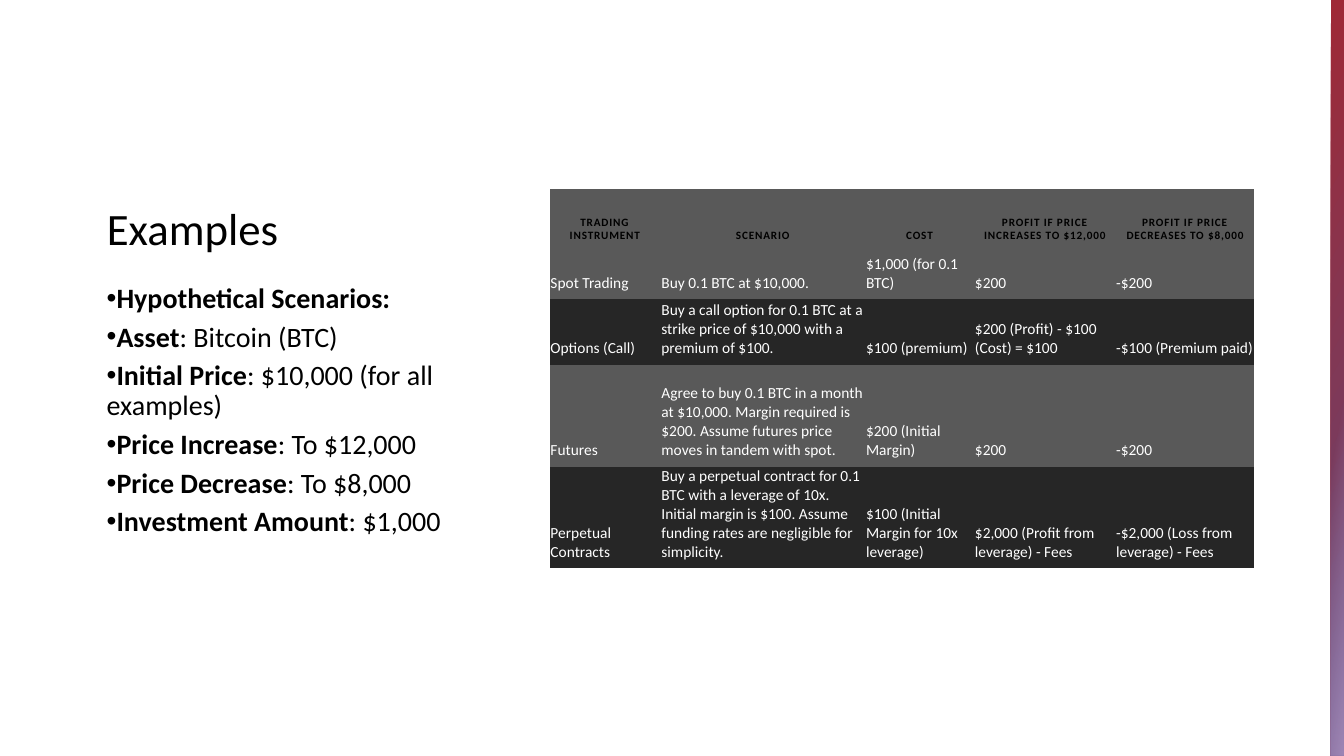
"""Build the trading examples slide with its scenario table."""
import dataclasses
from typing import Any

import lxml.etree
import pptx
import pptx.dml.color
import pptx.enum.shapes
import pptx.enum.text
import pptx.oxml
import pptx.oxml.ns
import pptx.util

Inches = pptx.util.Inches
ALIGN = pptx.enum.text.PP_ALIGN
ANCHOR = pptx.enum.text.MSO_ANCHOR
COLORS = {"ink": "000000", "light": "FFFFFF", "grey": "595959", "dark": "262626",
          "red": "9F2936", "purple": "604878", "lilac": "A088B7"}
NO_GRID_STYLE = "{2D5ABB26-0587-4C30-8999-92F81FD0307C}"
COLUMN_WIDTHS = [1.1, 2.03, 1.08, 1.41, 1.37]
HEADINGS = ["TRADING INSTRUMENT", "SCENARIO", "COST",
            "PROFIT IF PRICE INCREASES TO $12,000", "PROFIT IF PRICE DECREASES TO $8,000"]


@dataclasses.dataclass
class Fact:
    """A bullet with a bold label and a plain value."""
    label: str
    value: str = ""


@dataclasses.dataclass
class Row:
    """A table row with its height and fill."""
    height: float
    fill: str
    texts: list[str]


@dataclasses.dataclass
class Strip:
    """A gradient bar on the right edge, with stops of position, color and opacity."""
    top: float
    height: float
    angle: int
    stops: list[tuple[int, str, int]]


FACTS = [
    Fact("Hypothetical Scenarios:"),
    Fact("Asset", ": Bitcoin (BTC)"),
    Fact("Initial Price", ": $10,000 (for all examples)"),
    Fact("Price Increase", ": To $12,000"),
    Fact("Price Decrease", ": To $8,000"),
    Fact("Investment Amount", ": $1,000"),
]
ROWS = [
    Row(0.64, "grey", HEADINGS),
    Row(0.46, "grey", ["Spot Trading", "Buy 0.1 BTC at $10,000.", "$1,000 (for 0.1 BTC)",
                       "$200", "-$200"]),
    Row(0.65, "dark", ["Options (Call)",
                       "Buy a call option for 0.1 BTC at a strike price of $10,000 "
                       "with a premium of $100.",
                       "$100 (premium)", "$200 (Profit) - $100 (Cost) = $100",
                       "-$100 (Premium paid)"]),
    Row(1.01, "grey", ["Futures",
                       "Agree to buy 0.1 BTC in a month at $10,000. Margin required is $200. "
                       "Assume futures price moves in tandem with spot.",
                       "$200 (Initial Margin)", "$200", "-$200"]),
    Row(1.01, "dark", ["Perpetual Contracts",
                       "Buy a perpetual contract for 0.1 BTC with a leverage of 10x. Initial "
                       "margin is $100. Assume funding rates are negligible for simplicity.",
                       "$100 (Initial Margin for 10x leverage)",
                       "$2,000 (Profit from leverage) - Fees",
                       "-$2,000 (Loss from leverage) - Fees"]),
]
STRIPS = [
    Strip(0, 7.5, 30, [(0, "red", 100), (100, "purple", 100)]),
    Strip(3.86, 3.64, 10, [(19, "lilac", 0), (100, "lilac", 100)]),
]


def add_span(para: Any, text: str, *, size: float, color: str = "ink",
             bold: bool = False, spacing: float = 0) -> None:
    """Append formatted text to a paragraph."""
    span = para.add_run()
    span.text = text
    span.font.name = "Calibri"
    span.font.size = pptx.util.Pt(size)
    span.font.bold = bold
    span.font.color.rgb = pptx.dml.color.RGBColor.from_string(COLORS[color])
    if spacing:
        span.font._element.set("spc", str(round(spacing * 100)))


def space_lines(para: Any) -> None:
    """Set the line and paragraph spacing of the left column."""
    para.line_spacing = 0.9
    para.space_before = pptx.util.Pt(0)
    para.space_after = pptx.util.Pt(6)


def add_title(page: Any) -> None:
    """Place and format the title."""
    title = page.shapes.title
    title.left, title.top = Inches(0.96), Inches(0.81)
    title.width, title.height = Inches(3.78), Inches(1.77)
    title.text_frame.vertical_anchor = ANCHOR.BOTTOM
    title.text_frame.auto_size = pptx.enum.text.MSO_AUTO_SIZE.NONE
    para = title.text_frame.paragraphs[0]
    para.alignment = ALIGN.LEFT
    space_lines(para)
    add_span(para, "Examples", size=32)


def add_facts(page: Any) -> None:
    """Write the bulleted assumptions."""
    box = page.shapes.add_textbox(Inches(0.96), Inches(2.77), Inches(3.78), Inches(3.77))
    frame = box.text_frame
    frame.word_wrap = True
    for index, fact in enumerate(FACTS):
        para = frame.add_paragraph() if index else frame.paragraphs[0]
        space_lines(para)
        properties = para._p.get_or_add_pPr()
        properties.set("marL", "0")
        properties.set("indent", str(-Inches(0.25)))
        for tag, name, value in (("a:buFont", "typeface", "Arial"), ("a:buChar", "char", "•")):
            lxml.etree.SubElement(properties, pptx.oxml.ns.qn(tag)).set(name, value)
        add_span(para, fact.label, size=20, bold=True)
        if fact.value:
            add_span(para, fact.value, size=20)


def add_strip(page: Any, strip: Strip) -> None:
    """Draw one gradient bar."""
    bar = page.shapes.add_shape(pptx.enum.shapes.MSO_SHAPE.RECTANGLE, Inches(13.2),
                                Inches(strip.top), Inches(0.13), Inches(strip.height))
    bar.shadow.inherit = False
    bar.line.fill.background()
    stops = "".join(
        f'<a:gs pos="{place * 1000}"><a:srgbClr val="{COLORS[color]}">'
        f'<a:alpha val="{opacity * 1000}"/></a:srgbClr></a:gs>'
        for place, color, opacity in strip.stops)
    gradient = pptx.oxml.parse_xml(
        f'<a:gradFill {pptx.oxml.ns.nsdecls("a")} rotWithShape="1"><a:gsLst>{stops}</a:gsLst>'
        f'<a:lin ang="{strip.angle * 60000}" scaled="0"/></a:gradFill>')
    bar._element.spPr.find(pptx.oxml.ns.qn("a:prstGeom")).addnext(gradient)


def fill_cell(cell: Any, text: str, fill: str, *, header: bool, side: float) -> None:
    """Fill, pad and write one table cell."""
    cell.fill.solid()
    cell.fill.fore_color.rgb = pptx.dml.color.RGBColor.from_string(COLORS[fill])
    cell.vertical_anchor = ANCHOR.BOTTOM
    cell.margin_left = cell.margin_right = Inches(0.1 if header else side)
    cell.margin_top = Inches(0.1 if header else 0)
    cell.margin_bottom = Inches(0.1 if header else 0.07)
    para = cell.text_frame.paragraphs[0]
    if header:
        para.alignment = ALIGN.CENTER
        add_span(para, text, size=8, bold=True, spacing=0.6)
    else:
        add_span(para, text, size=11, color="light")


def add_scenarios(page: Any) -> None:
    """Build the table of trading scenarios."""
    table = page.shapes.add_table(len(ROWS), len(COLUMN_WIDTHS), Inches(5.45), Inches(1.87),
                                  Inches(6.99), Inches(3.77)).table
    table._tbl.tblPr.find(pptx.oxml.ns.qn("a:tableStyleId")).text = NO_GRID_STYLE
    table.horz_banding = False
    for column, width in zip(table.columns, COLUMN_WIDTHS):
        column.width = Inches(width)
    last = len(COLUMN_WIDTHS) - 1
    for row_index, row in enumerate(ROWS):
        table.rows[row_index].height = Inches(row.height)
        for index, text in enumerate(row.texts):
            fill_cell(table.cell(row_index, index), text, row.fill,
                      header=row_index == 0, side=0 if index == last else 0.01)


def main() -> None:
    """Create and save the deck."""
    deck = pptx.Presentation()
    deck.slide_width, deck.slide_height = Inches(13.33), Inches(7.5)
    page = deck.slides.add_slide(deck.slide_layouts.get_by_name("Title Only"))
    add_title(page)
    add_facts(page)
    for strip in STRIPS:
        add_strip(page, strip)
    add_scenarios(page)
    deck.save("out.pptx")


if __name__ == "__main__":
    main()
